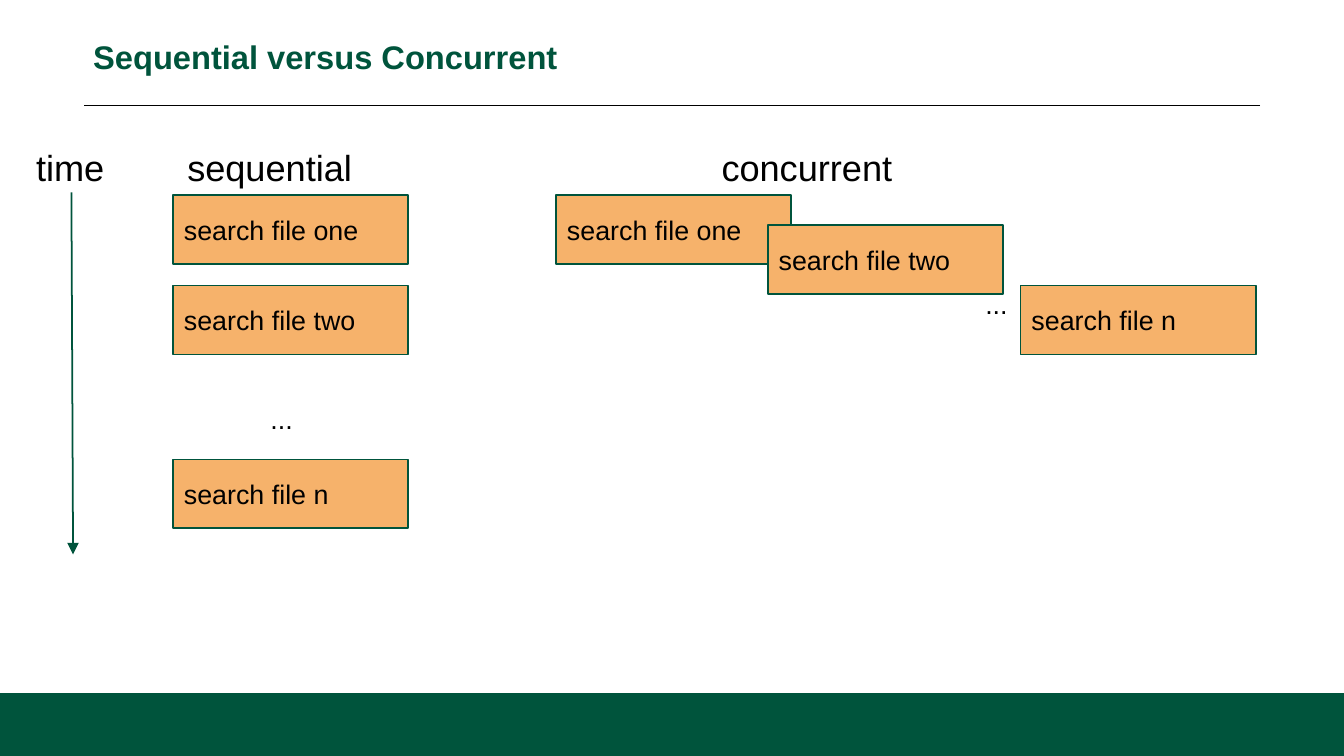
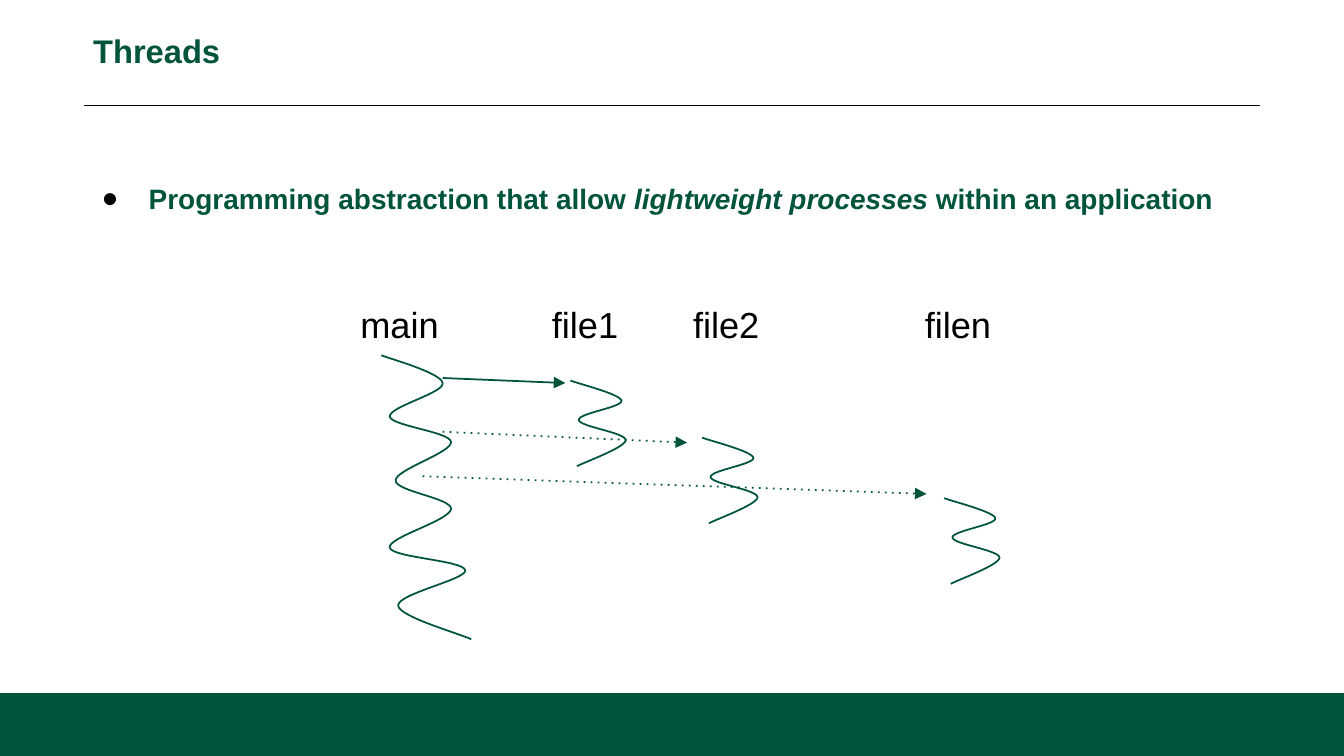
from lxml.etree import SubElement
from pptx import Presentation
from pptx.dml.color import RGBColor
from pptx.enum.shapes import MSO_CONNECTOR as CONN, MSO_SHAPE as SHAPE
from pptx.enum.text import MSO_ANCHOR as ANCHOR, PP_ALIGN as ALIGN
from pptx.oxml.ns import qn
from pptx.util import Emu, Pt

COLS, ROWS = 16, 9
GREEN, ORANGE, BLACK = "00543C", "F6B26B", "000000"
rgb = RGBColor.from_string

prs = Presentation()
prs.slide_width, prs.slide_height = Pt(72 * COLS), Pt(72 * ROWS)
unit = prs.slide_width // COLS

HEADING = dict(size=Pt(31))
LABEL = dict(size=Pt(23))
TITLE = dict(size=Pt(28), bold=True)
BODY = dict(size=Pt(24), bold=True)


def add_text(slide, text, box, font, color=BLACK, spacing=None, fill=None):
    """Add text in a box given in grid units; a fill adds a frame, *stars* mark italics."""
    area = [Emu(round(v * unit)) for v in box]
    if fill:
        sp = slide.shapes.add_shape(SHAPE.RECTANGLE, *area)
        sp.shadow.inherit = False
        sp.fill.solid()
        sp.fill.fore_color.rgb = rgb(fill)
        sp.line.color.rgb = rgb(GREEN)
        sp.line.width = Pt(1.5)
    else:
        sp = slide.shapes.add_textbox(*area)
    tf = sp.text_frame
    tf.word_wrap = True
    tf.vertical_anchor = ANCHOR.MIDDLE if fill else ANCHOR.TOP
    for side in ("left", "right", "top", "bottom"):
        setattr(tf, f"margin_{side}", round(0.13 * unit))
    p = tf.paragraphs[0]
    p.alignment = ALIGN.LEFT
    p.line_spacing = spacing
    for i, part in enumerate(text.split("*")):
        r = p.add_run()
        r.text = part
        r.font.name = "Arial"
        r.font.color.rgb = rgb(color)
        r.font.italic = i % 2 == 1
        for name, value in font.items():
            setattr(r.font, name, value)
    return p


def add_line(slide, x1, y1, x2, y2, color=GREEN, width=1.5, dash=None, arrow=True):
    ends = [Emu(round(v * unit)) for v in (x1, y1, x2, y2)]
    cx = slide.shapes.add_connector(CONN.STRAIGHT, *ends)
    cx.line.color.rgb = rgb(color)
    cx.line.width = Pt(width)
    ln = cx._element.spPr.find(qn("a:ln"))
    if dash:
        SubElement(ln, qn("a:prstDash"), val=dash)
    if arrow:
        SubElement(ln, qn("a:tailEnd"), type="triangle", w="lg", len="lg")
    SubElement(cx._element.spPr, qn("a:effectLst"))


# Shared band, rule and title
slides = []
for title, top in (("Sequential versus Concurrent", 0.24), ("Threads", 0.17)):
    s = prs.slides.add_slide(prs.slide_layouts[6])
    band = s.shapes.add_shape(SHAPE.RECTANGLE, 0, round(8.25 * unit),
                              prs.slide_width, round(0.75 * unit))
    band.shadow.inherit = False
    band.fill.solid()
    band.fill.fore_color.rgb = rgb(GREEN)
    band.line.fill.background()
    add_line(s, 15, 1.25, 1, 1.25, color=BLACK, width=0.75, arrow=False)
    add_text(s, title, (0.98, top, 14.02, 0.93), TITLE, GREEN, spacing=1.14)
    slides.append(s)
sequence, threads = slides

# Sequential versus concurrent
for text, x, w in (("time", 0.3, 1.56), ("sequential", 2.1, 2.6), ("concurrent", 8.46, 2.6)):
    add_text(sequence, text, (x, 1.6, w, 0.54), HEADING)
add_line(sequence, 0.85, 2.29, 0.87, 6.6)

tasks = ("search file one", "search file two", "search file n")
sequential = ((2.06, 2.32), (2.06, 3.4), (2.06, 5.47))
concurrent = ((6.62, 2.32), (9.14, 2.68), (12.15, 3.4))
for places, dots in ((sequential, (3.09, 4.66)), (concurrent, (11.6, 3.29))):
    add_text(sequence, "...", (*dots, 0.64, 0.54), LABEL)
    for task, place in zip(tasks, places):
        add_text(sequence, task, (*place, 2.8, 0.82), LABEL, fill=ORANGE)

# Threads
p = add_text(threads,
             "Programming abstraction that allow *lightweight processes* within an application",
             (1, 1.83, 14, 5.81), BODY, GREEN, spacing=1.5)
pPr = p._p.get_or_add_pPr()
pPr.set("marL", str(round(0.64 * unit)))
pPr.set("indent", str(round(-0.56 * unit)))
SubElement(SubElement(pPr, qn("a:buClr")), qn("a:srgbClr"), val=BLACK)
SubElement(pPr, qn("a:buFont"), typeface="Arial")
SubElement(pPr, qn("a:buChar"), char="●")

# Bezier points relative to each thread's start: two controls, then an end
main_wave = (
    (0, 0), (0.13, 0.05), (0.71, 0.21), (0.73, 0.33), (0.75, 0.45), (0.09, 0.61), (0.1, 0.73),
    (0.12, 0.84), (0.81, 0.91), (0.83, 1.03), (0.84, 1.16), (0.17, 1.36), (0.17, 1.49),
    (0.17, 1.62), (0.84, 1.7), (0.83, 1.83), (0.81, 1.97), (0.07, 2.17), (0.1, 2.29),
    (0.13, 2.41), (0.98, 2.44), (1, 2.56), (1.01, 2.67), (0.19, 2.84), (0.2, 2.98),
    (0.21, 3.11), (0.92, 3.31), (1.07, 3.38))
file_wave = (
    (0, 0), (0.1, 0.04), (0.59, 0.16), (0.61, 0.24), (0.62, 0.32), (0.09, 0.39), (0.1, 0.47),
    (0.11, 0.55), (0.66, 0.62), (0.66, 0.71), (0.65, 0.8), (0.17, 0.97), (0.08, 1.02))
for x, y, wave in ((6.79, 4.53, file_wave), (8.36, 5.21, file_wave),
                   (4.54, 4.23, main_wave), (11.24, 5.93, file_wave)):
    points = [(round((x + dx) * unit), round((y + dy) * unit)) for dx, dy in wave]
    builder = threads.shapes.build_freeform(*points[0])
    builder.add_line_segments(points[3::3], close=False)
    sp = builder.convert_to_shape()
    sp.shadow.inherit = False
    sp.fill.background()
    sp.line.color.rgb = rgb(GREEN)
    sp.line.width = Pt(1.5)
    # Turn each straight segment into a cubic curve
    for i, segment in enumerate(list(sp._element.iter(qn("a:lnTo")))):
        curve = SubElement(segment.getparent(), qn("a:cubicBezTo"))
        for px, py in points[3 * i + 1:3 * i + 4]:
            SubElement(curve, qn("a:pt"), x=str(px - sp.left), y=str(py - sp.top))
        segment.getparent().remove(segment)

for text, x in (("main", 4.16), ("file1", 6.44), ("file2", 8.12), ("filen", 10.88)):
    add_text(threads, text, (x, 3.47, 1.45, 0.54), HEADING)

add_line(threads, 5.27, 4.5, 6.73, 4.56)
add_line(threads, 5.27, 5.14, 8.18, 5.27, dash="dot")
add_line(threads, 5.03, 5.67, 11.03, 5.88, dash="dot")

prs.save("out.pptx")
